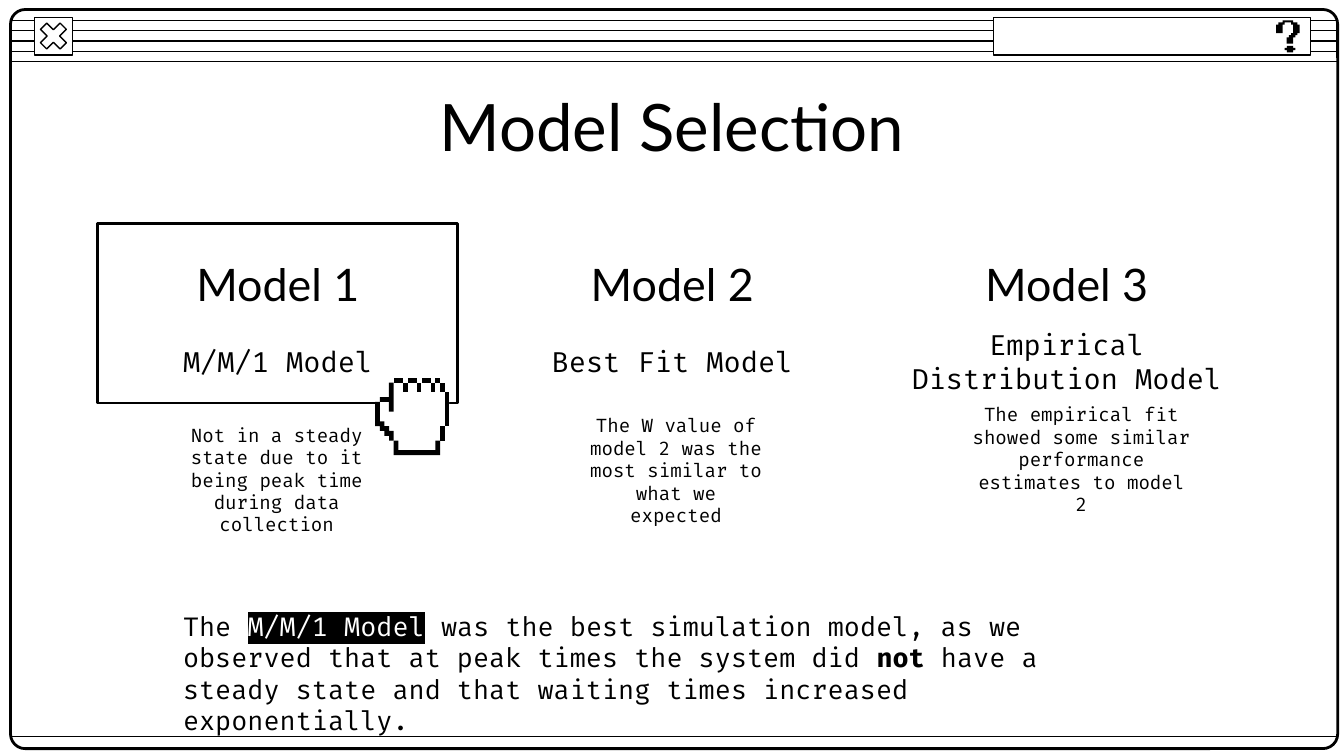
from dataclasses import dataclass

from lxml.etree import SubElement
from pptx import Presentation
from pptx.dml.color import RGBColor
from pptx.enum.shapes import MSO_CONNECTOR, MSO_SHAPE
from pptx.enum.text import MSO_ANCHOR, PP_ALIGN
from pptx.oxml import parse_xml
from pptx.oxml.ns import nsdecls, qn
from pptx.util import Pt

BLACK, WHITE = "000000", "FFFFFF"
HEADING_FONT, BODY_FONT = "Lato", "Fira Code"

Points = list[tuple[int, int]]


@dataclass
class Span:
    text: str
    color: str = BLACK
    highlight: str | None = None
    bold: bool = False


@dataclass
class Area:
    left: float
    top: float
    width: float
    height: float


@dataclass
class Model:
    title: str
    kind: str
    remark: str
    remark_area: Area


@dataclass
class PixelGrid:
    left: float
    top: float
    cell_width: float
    cell_height: float


MODELS = [
    Model("Model 1", "M/M/1 Model",
          "Not in a steady state due to it being peak time during data collection",
          Area(88.5, 163.4, 119.5, 187.2)),
    Model("Model 2", "Best Fit Model",
          "The W value of model 2 was the most similar to what we expected",
          Area(306.7, 158.4, 110.9, 187.2)),
    Model("Model 3", "Empirical Distribution Model",
          "The empirical fit showed some similar performance estimates to model 2",
          Area(511.2, 152.4, 136.1, 187.2)),
]
CONCLUSION = [
    Span("The "),
    Span("M/M/1 Model", WHITE, BLACK),
    Span(" was the best simulation model, as we observed that at peak times the system did "),
    Span("not", bold=True),
    Span(" have a steady state and that waiting times increased exponentially."),
]

# Pixel drawings, as (column, row) corners on their grids
QUESTION_GRID = PixelGrid(683.7, 10.9, 1.14, 1.14)
QUESTION_HOOK = [
    (3, 0), (3, 1), (1, 1), (1, 2), (0, 2), (0, 6), (3, 6), (3, 2), (4, 2), (4, 1), (7, 1),
    (7, 2), (8, 2), (8, 6), (7, 6), (7, 7), (6, 7), (6, 8), (5, 8), (5, 11), (8, 11), (8, 8),
    (9, 8), (9, 7), (10, 7), (10, 6), (11, 6), (11, 2), (10, 2), (10, 1), (8, 1), (8, 0)]
QUESTION_DOT = [
    (5, 12), (5, 13), (4, 13), (4, 14), (5, 14), (5, 15),
    (8, 15), (8, 14), (9, 14), (9, 13), (8, 13), (8, 12)]

HAND_GRID = PixelGrid(201, 202.4, 2.48, 2.59)
HAND = [
    (4, 0), (4, 1), (3, 1), (3, 4), (1, 4), (1, 5), (0, 5), (0, 10), (1, 10), (1, 11),
    (2, 11), (2, 12), (3, 12), (3, 13), (4, 13), (4, 16), (14, 16), (14, 13), (15, 13),
    (15, 10), (16, 10), (16, 3), (15, 3), (15, 1), (14, 1), (14, 0), (13, 0), (13, 1),
    (12, 1), (12, 0), (10, 0), (10, 1), (9, 1), (9, 0), (7, 0), (7, 1), (6, 1), (6, 0)]
WRIST = [(4, 13), (4, 16), (14, 16), (14, 13), (13, 13), (13, 15), (5, 15), (5, 13)]
INDEX_SIDE = [(3, 1), (3, 4), (1, 4), (1, 5), (3, 5), (3, 7), (4, 7), (4, 1)]
THUMB = [
    (0, 5), (0, 10), (1, 10), (1, 11), (2, 11), (2, 12), (3, 12), (3, 13),
    (4, 13), (4, 11), (3, 11), (3, 10), (2, 10), (2, 9), (1, 9), (1, 5)]
# left, top, right, bottom
HAND_BARS = [
    (14, 1, 15, 3), (12, 1, 13, 3), (9, 1, 10, 3), (6, 1, 7, 3), (15, 3, 16, 10),
    (14, 10, 15, 13), (4, 0, 6, 1), (7, 0, 9, 1), (10, 0, 12, 1), (13, 0, 14, 1)]


def rgb(color: str) -> RGBColor:
    return RGBColor.from_string(color)


def add_rule(slide, y: float) -> None:
    """Draw a thin horizontal line across the window."""
    rule = slide.shapes.add_connector(
        MSO_CONNECTOR.STRAIGHT, Pt(6), Pt(y), Pt(716.4), Pt(y))
    rule.line.color.rgb = rgb(BLACK)
    rule.line.width = Pt(0.75)
    SubElement(rule._element.spPr, qn("a:effectLst"))


def add_outlined(slide, kind: MSO_SHAPE, area: Area, weight: float,
                 fill: str | None = None, adjustment: float | None = None) -> None:
    shape = slide.shapes.add_shape(
        kind, Pt(area.left), Pt(area.top), Pt(area.width), Pt(area.height))
    shape.shadow.inherit = False
    if adjustment is not None:
        shape.adjustments[0] = adjustment
    if fill:
        shape.fill.solid()
        shape.fill.fore_color.rgb = rgb(fill)
    else:
        shape.fill.background()
    shape.line.color.rgb = rgb(BLACK)
    shape.line.width = Pt(weight)


def add_pixels(slide, grid: PixelGrid, corners: Points, fill: str = BLACK) -> None:
    builder = slide.shapes.build_freeform(
        *corners[0], scale=(Pt(grid.cell_width), Pt(grid.cell_height)))
    builder.add_line_segments(corners[1:], close=True)
    shape = builder.convert_to_shape(Pt(grid.left), Pt(grid.top))
    shape.shadow.inherit = False
    shape.fill.solid()
    shape.fill.fore_color.rgb = rgb(fill)
    shape.line.fill.background()


def add_text(slide, area: Area, spans: list[Span], font: str, size: float,
             align: PP_ALIGN = PP_ALIGN.CENTER,
             anchor: MSO_ANCHOR = MSO_ANCHOR.MIDDLE) -> None:
    box = slide.shapes.add_textbox(
        Pt(area.left), Pt(area.top), Pt(area.width), Pt(area.height))
    frame = box.text_frame
    frame.word_wrap = True
    frame.vertical_anchor = anchor
    frame.margin_left = frame.margin_right = Pt(7.2)
    frame.margin_top = frame.margin_bottom = Pt(7.2)
    para = frame.paragraphs[0]
    para.alignment = align
    for span in spans:
        run = para.add_run()
        run.text = span.text
        run.font.name = font
        run.font.size = Pt(size)
        run.font.bold = span.bold
        run.font.color.rgb = rgb(span.color)
        if span.highlight:
            run.font._element.find(qn("a:solidFill")).addnext(parse_xml(
                f'<a:highlight {nsdecls("a")}><a:srgbClr val="{span.highlight}"/></a:highlight>'))


def draw_window(slide) -> None:
    for index in range(5):
        add_rule(slide, 10.9 + 5.55 * index)
    add_outlined(slide, MSO_SHAPE.ROUNDED_RECTANGLE, Area(5.6, 5.1, 711, 396), 1.5, adjustment=0.02)
    close_button = Area(18.5, 9.2, 20.2, 20.2)
    add_outlined(slide, MSO_SHAPE.RECTANGLE, close_button, 0.75, WHITE)
    add_outlined(slide, MSO_SHAPE.MATH_MULTIPLY, close_button, 0.75, WHITE)
    add_rule(slide, 394.6)
    add_outlined(slide, MSO_SHAPE.RECTANGLE, Area(532.2, 9.2, 170, 20.2), 0.75, WHITE)
    add_pixels(slide, QUESTION_GRID, QUESTION_DOT)
    add_pixels(slide, QUESTION_GRID, QUESTION_HOOK)


def draw_hand(slide) -> None:
    add_pixels(slide, HAND_GRID, HAND, WHITE)
    for left, top, right, bottom in HAND_BARS:
        add_pixels(slide, HAND_GRID, [(left, top), (left, bottom), (right, bottom), (right, top)])
    for outline in (WRIST, INDEX_SIDE, THUMB):
        add_pixels(slide, HAND_GRID, outline)


def main() -> None:
    deck = Presentation()
    deck.slide_width, deck.slide_height = Pt(720), Pt(405)
    slide = deck.slides.add_slide(deck.slide_layouts[6])
    draw_window(slide)
    add_outlined(slide, MSO_SHAPE.RECTANGLE, Area(52.4, 119.9, 192.8, 96), 1.5)
    add_text(slide, Area(56.7, 44.6, 606.6, 45.4), [Span("Model Selection")], HEADING_FONT, 35)
    for index, model in enumerate(MODELS):
        left = 56.7 + 211.3 * index
        add_text(slide, Area(left, 131, 184.3, 41.8), [Span(model.title)], HEADING_FONT, 24)
        add_text(slide, Area(left, 167.4, 184.3, 52.6), [Span(model.kind)], BODY_FONT, 15)
    draw_hand(slide)
    add_text(slide, Area(91, 319.7, 530.6, 65.5), CONCLUSION, BODY_FONT, 14,
             PP_ALIGN.LEFT, MSO_ANCHOR.TOP)
    for model in MODELS:
        add_text(slide, model.remark_area, [Span(model.remark)], BODY_FONT, 10)
    deck.save("out.pptx")


if __name__ == "__main__":
    main()
